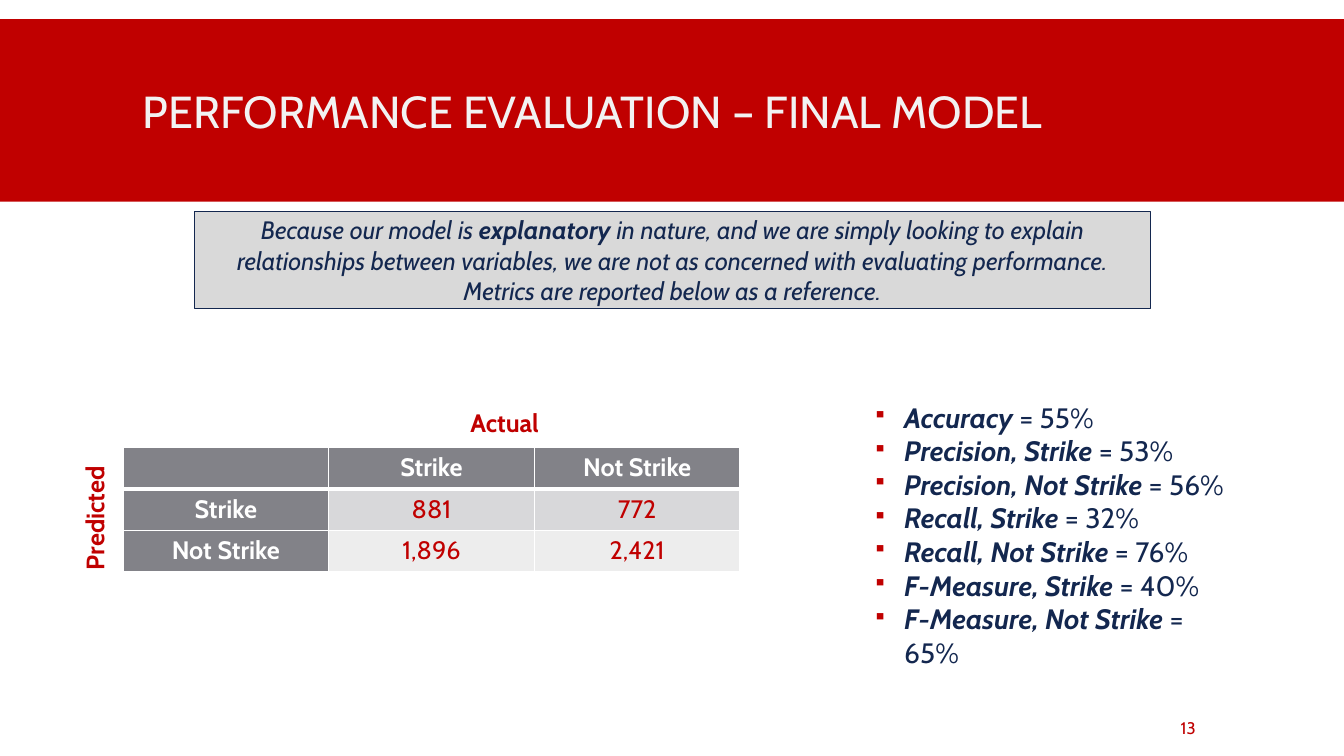
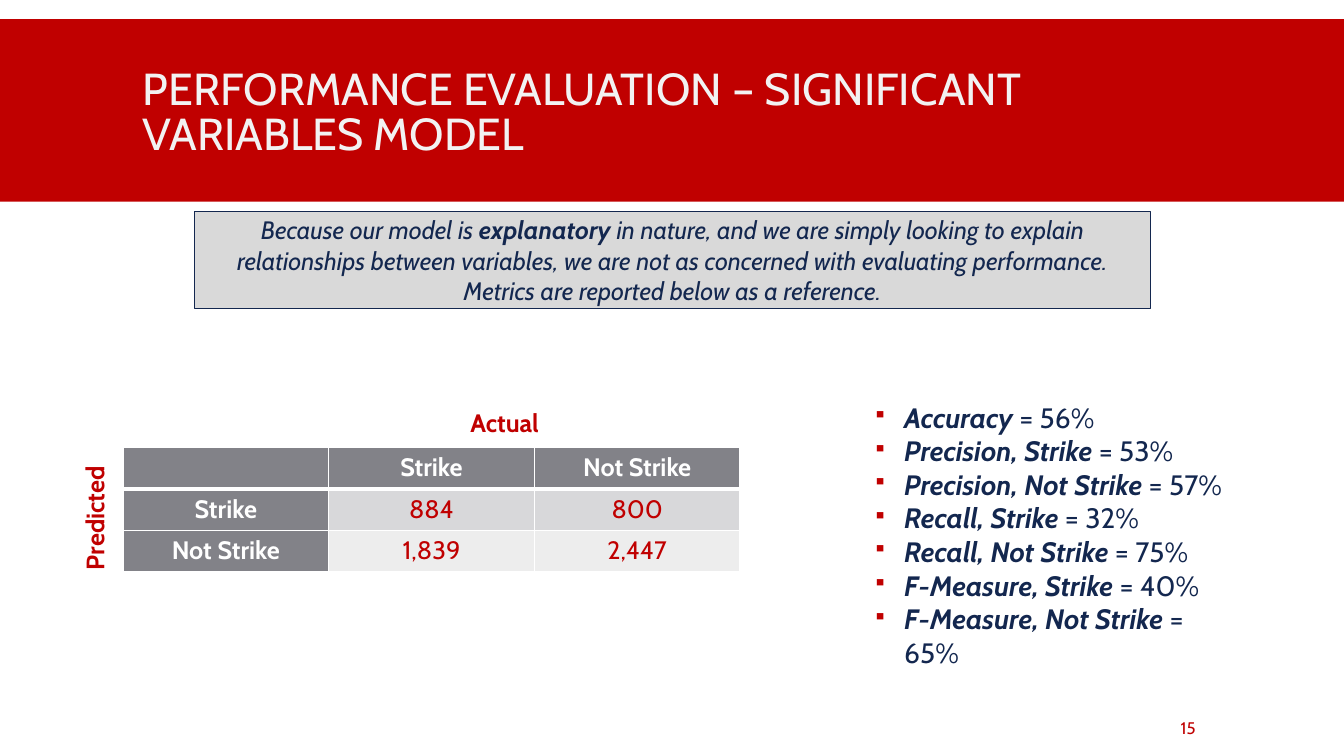
from dataclasses import dataclass

import pptx
import pptx.dml.color
import pptx.enum.shapes
import pptx.enum.text
import pptx.oxml
import pptx.oxml.ns
import pptx.util

RGB = pptx.dml.color.RGBColor
ALIGN = pptx.enum.text.PP_ALIGN
ANCHOR = pptx.enum.text.MSO_ANCHOR
RECT = pptx.enum.shapes.MSO_SHAPE.RECTANGLE

RED = RGB(0xC0, 0x00, 0x00)
NAVY = RGB(0x13, 0x27, 0x4F)
WHITE = RGB(0xFF, 0xFF, 0xFF)
PALE = RGB(0xF2, 0xF2, 0xF2)
PANEL = RGB(0xD9, 0xD9, 0xD9)
HEAD = RGB(0x82, 0x82, 0x88)
ROWS = [RGB(0xD8, 0xD8, 0xDA), RGB(0xED, 0xED, 0xED)]

FONT = "Cabin"
SCALE = 9144  # EMU in one px, 100 px to the inch
NS = pptx.oxml.ns.nsdecls("a")

CLASSES = ["Strike", "Not Strike"]
METRICS = ["Accuracy"] + [
    f"{name}, {kind}"
    for name in ("Precision", "Recall", "F-Measure")
    for kind in CLASSES
]


@dataclass
class Box:
    left: int
    top: int
    width: int
    height: int

    def emu(self) -> list[int]:
        return [n * SCALE for n in (self.left, self.top, self.width, self.height)]


@dataclass
class Part:
    text: str
    bold: bool = False
    slant: bool = False


@dataclass
class Page:
    title: str
    number: int
    counts: list[list[int]]
    scores: list[int]


NOTE = [
    Part("Because our model is ", slant=True),
    Part("explanatory", bold=True, slant=True),
    Part(" in nature, and we are simply looking to explain relationships "
         "between variables, we are not as concerned with evaluating "
         "performance. Metrics are reported below as a reference.", slant=True),
]

PAGES = [
    Page("PERFORMANCE EVALUATION – FINAL MODEL", 13,
         [[881, 772], [1896, 2421]], [55, 53, 56, 32, 76, 40, 65]),
    Page("PERFORMANCE EVALUATION – SIGNIFICANT VARIABLES MODEL", 15,
         [[884, 800], [1839, 2447]], [56, 53, 57, 32, 75, 40, 65]),
]


# Text
def write(para, parts: list[Part], size: int, color: RGB, align=ALIGN.LEFT) -> None:
    para.alignment = align
    for part in parts:
        run = para.add_run()
        run.text = part.text
        font = run.font
        font.name, font.size = FONT, pptx.util.Pt(size)
        font.bold, font.italic = part.bold, part.slant
        font.color.rgb = color


def label(slide, box: Box, part: Part, size: int, color: RGB,
          align=ALIGN.LEFT, anchor=ANCHOR.TOP):
    shape = slide.shapes.add_textbox(*box.emu())
    frame = shape.text_frame
    frame.word_wrap = True
    frame.vertical_anchor = anchor
    write(frame.paragraphs[0], [part], size, color, align)
    return shape


def bullet(para) -> None:
    props = para._p.get_or_add_pPr()
    props.set("marL", str(31 * SCALE))
    props.set("indent", str(-31 * SCALE))
    for xml in (f'<a:buClr {NS}><a:srgbClr val="{RED}"/></a:buClr>',
                f'<a:buSzPct {NS} val="70000"/>',
                f'<a:buChar {NS} char="▪"/>'):
        props.append(pptx.oxml.parse_xml(xml))


# Shapes
def panel(slide, box: Box, fill: RGB):
    shape = slide.shapes.add_shape(RECT, *box.emu())
    shape.shadow.inherit = False
    shape.fill.solid()
    shape.fill.fore_color.rgb = fill
    shape.line.fill.background()
    return shape


def edge(cell, side: str, width: int) -> None:
    cell._tc.get_or_add_tcPr().append(pptx.oxml.parse_xml(
        f'<a:ln{side} {NS} w="{pptx.util.Pt(width)}"><a:solidFill>'
        f'<a:srgbClr val="{WHITE}"/></a:solidFill></a:ln{side}>'))


# Confusion matrix
def matrix(slide, counts: list[list[int]]) -> None:
    grid = [["", *CLASSES]]
    grid += [[kind, *(f"{n:,}" for n in row)] for kind, row in zip(CLASSES, counts)]
    table = slide.shapes.add_table(3, 3, *Box(122, 444, 612, 123).emu()).table
    table.first_row = table.horz_banding = False
    for line in table.rows:
        line.height = 41 * SCALE
    for col in table.columns:
        col.width = 204 * SCALE
    for r, row in enumerate(grid):
        for c, text in enumerate(row):
            cell = table.cell(r, c)
            head = r == 0 or c == 0
            thick = {0: "B", 1: "T"}.get(r)
            for side in "LRTB":
                edge(cell, side, 3 if side == thick else 1)
            cell.fill.solid()
            cell.fill.fore_color.rgb = HEAD if head else ROWS[r - 1]
            if text:
                write(cell.text_frame.paragraphs[0], [Part(text, bold=head)],
                      18, WHITE if head else RED, ALIGN.CENTER)


# Metric list
def metrics(slide, scores: list[int]) -> None:
    frame = slide.shapes.add_textbox(*Box(856, 392, 384, 246).emu()).text_frame
    frame.word_wrap = True
    for i, (name, score) in enumerate(zip(METRICS, scores)):
        para = frame.add_paragraph() if i else frame.paragraphs[0]
        write(para, [Part(name, True, True), Part(f" = {score}%")], 20, NAVY)
        bullet(para)


def build(slide, page: Page) -> None:
    # Title band
    panel(slide, Box(0, 19, 1333, 181), RED)
    title = label(slide, Box(132, 31, 1070, 165), Part(page.title), 32, PALE,
                  anchor=ANCHOR.MIDDLE)
    title.text_frame.paragraphs[0].line_spacing = 0.85

    # Table with its axis names
    label(slide, Box(448, 399, 105, 40), Part("Actual", True), 18, RED, ALIGN.CENTER)
    side = label(slide, Box(14, 494, 159, 40), Part("Predicted", True), 18, RED,
                 ALIGN.CENTER)
    side.rotation = 270
    matrix(slide, page.counts)
    metrics(slide, page.scores)

    # Note
    note = panel(slide, Box(193, 210, 948, 96), PANEL)
    note.line.color.rgb = NAVY
    note.line.width = pptx.util.Pt(1)
    note.text_frame.word_wrap = True
    note.text_frame.vertical_anchor = ANCHOR.MIDDLE
    write(note.text_frame.paragraphs[0], NOTE, 18, NAVY, ALIGN.CENTER)

    # Page number
    foot = label(slide, Box(1166, 702, 103, 40), Part(str(page.number)), 12, RED,
                 anchor=ANCHOR.MIDDLE)
    foot.text_frame.margin_left = 5 * SCALE


def main() -> None:
    deck = pptx.Presentation()
    deck.slide_width, deck.slide_height = 1333 * SCALE, 750 * SCALE
    for page in PAGES:
        build(deck.slides.add_slide(deck.slide_layouts[6]), page)
    deck.save("out.pptx")


if __name__ == "__main__":
    main()
